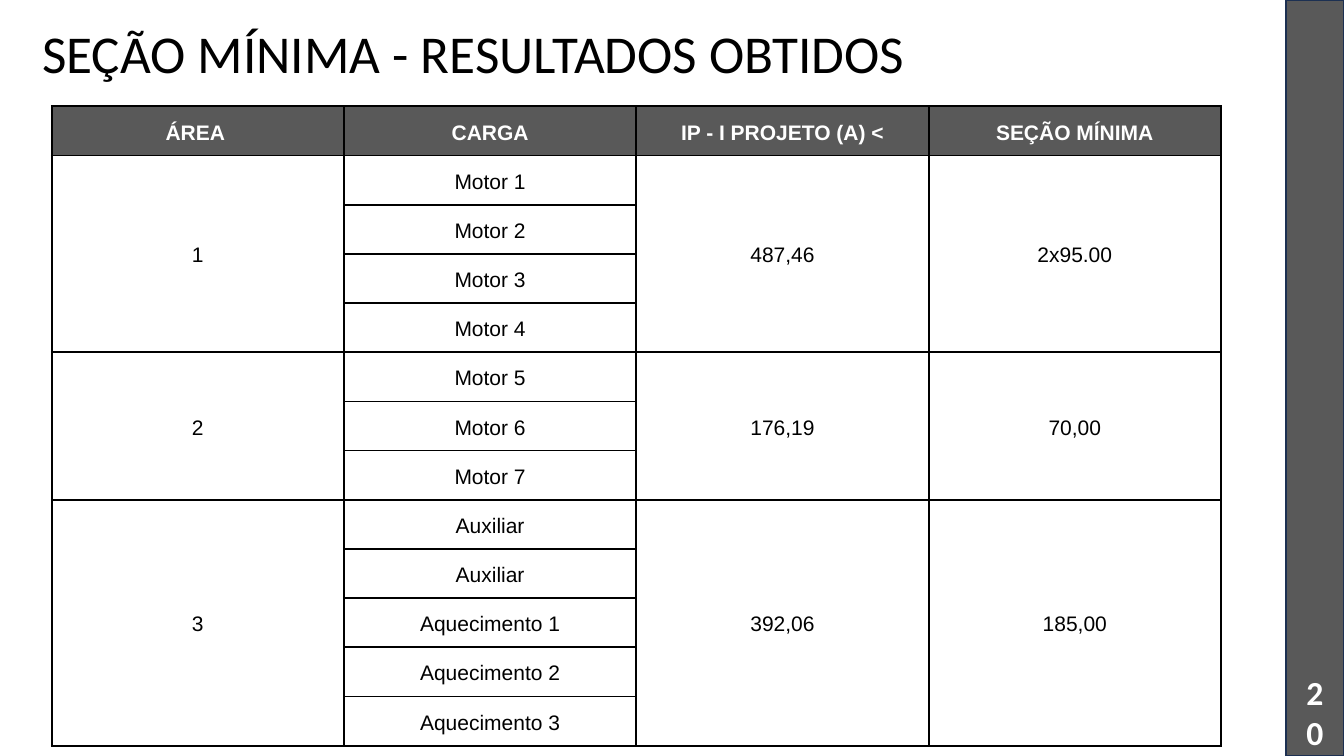
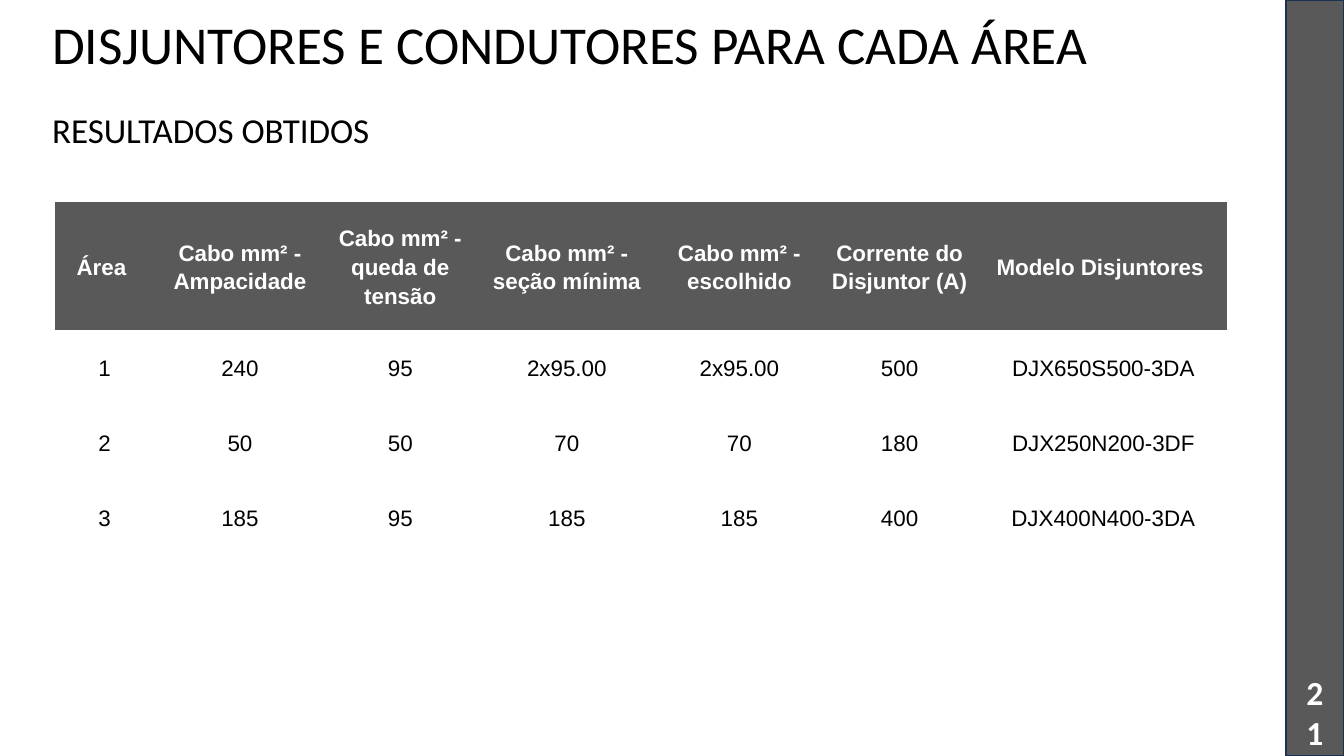
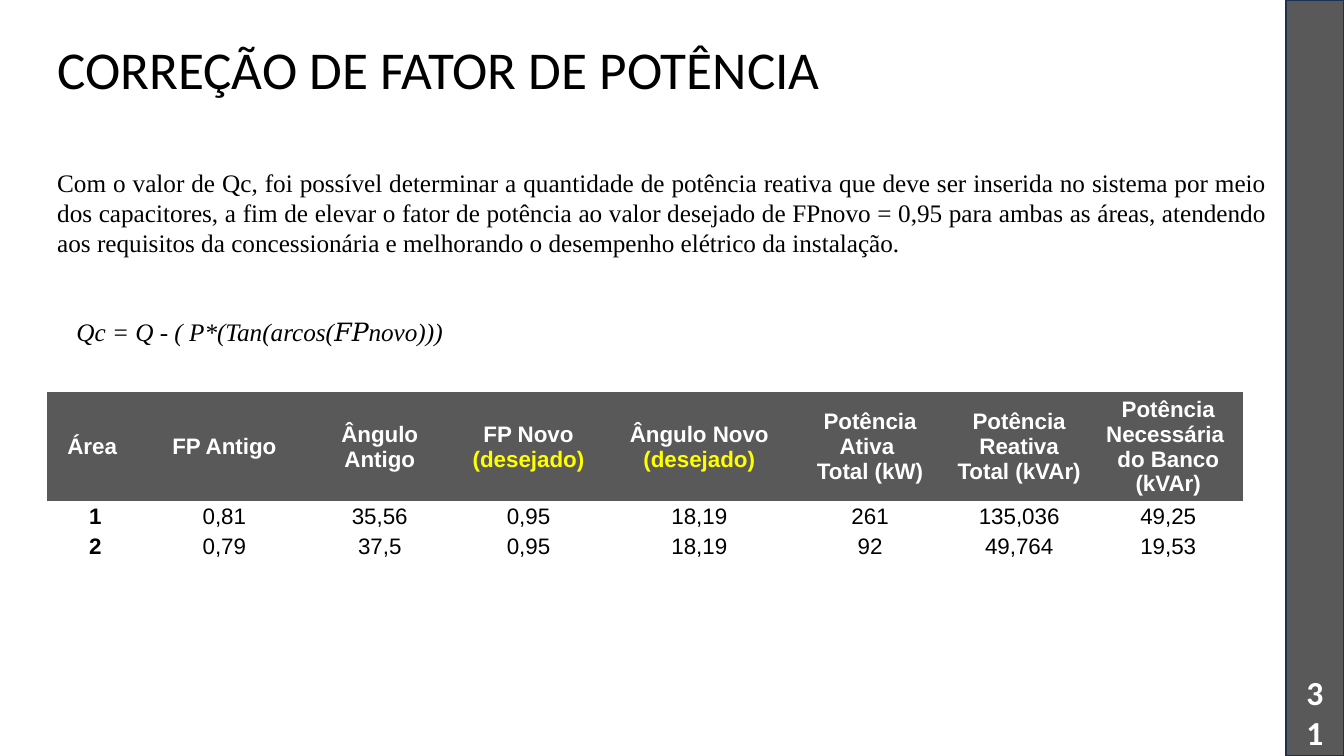
from lxml.etree import SubElement
from pptx import Presentation
from pptx.dml.color import RGBColor
from pptx.enum.shapes import MSO_SHAPE
from pptx.enum.text import MSO_ANCHOR, PP_ALIGN
from pptx.oxml.ns import qn
from pptx.util import Pt

COLORS = {
    "band": "595959",
    "band_line": "1C3052",
    "text": "000000",
    "light": "FFFFFF",
    "accent": "FFFF00",
}
TITLE_FONT, TABLE_FONT, BODY_FONT = "Calibri", "Arial", "Times New Roman"
SLIDE_WIDTH, SLIDE_HEIGHT = 960, 540
BAND_LEFT = 918.72
PLAIN_TABLE_STYLE = "{2D5ABB26-0587-4C30-8999-92F81FD0307C}"

# Minimum section: area, loads, project current, section
SECTION_HEADER = ["ÁREA ", "CARGA", "IP - I PROJETO (A) <", "SEÇÃO MÍNIMA"]
SECTION_AREAS = [
    ("1", ["Motor 1", "Motor 2", "Motor 3", "Motor 4"], "487,46", "2x95.00"),
    ("2", ["Motor 5", "Motor 6", "Motor 7"], "176,19", "70,00"),
    ("3", ["Auxiliar", "Auxiliar", "Aquecimento 1", "Aquecimento 2",
           "Aquecimento 3"], "392,06", "185,00"),
]

BREAKER_ROWS = [
    ["Área ", "Cabo mm² - Ampacidade", "Cabo mm² - queda de tensão",
     "Cabo mm² - seção mínima", "Cabo mm² - escolhido",
     "Corrente do Disjuntor (A)", "Modelo Disjuntores "],
    ["1", "240", "95", "2x95.00", "2x95.00", "500", "DJX650S500-3DA"],
    ["2", "50", "50", "70", "70", "180", "DJX250N200-3DF"],
    ["3", "185", "95", "185", "185", "400", "DJX400N400-3DA"],
]

TARGET_NOTE = "(desejado)"
POWER_ROWS = [
    ["Área ", "FP Antigo", "Ângulo Antigo", "FP Novo " + TARGET_NOTE,
     "Ângulo Novo " + TARGET_NOTE, "Potência Ativa \nTotal (kW)",
     "Potência Reativa\nTotal (kVAr)", "Potência Necessária \ndo Banco (kVAr)"],
    ["1", "0,81", "35,56", "0,95", "18,19", "261", "135,036", "49,25"],
    ["2", "0,79", "37,5", "0,95", "18,19", "92", "49,764", "19,53"],
]
POWER_INTRO = (
    "Com o valor de Qc, foi possível determinar a quantidade de potência "
    "reativa que deve ser inserida no sistema por meio dos capacitores, a fim "
    "de elevar o fator de potência ao valor desejado de FPnovo = 0,95 para "
    "ambas as áreas, atendendo aos requisitos da concessionária e melhorando "
    "o desempenho elétrico da instalação."
)
POWER_FORMULA = "Qc = Q - ( P*(Tan(arcos(𝐹𝑃novo)))"


def rgb(name):
    return RGBColor.from_string(COLORS[name])


def style_runs(paragraph, font, size, color="text", bold=False, italic=False):
    for run in paragraph.runs:
        run.font.name, run.font.size = font, Pt(size)
        run.font.bold, run.font.italic = bold, italic
        run.font.color.rgb = rgb(color)


def add_text(slide, box, text, font, size, align=PP_ALIGN.LEFT,
             anchor=MSO_ANCHOR.TOP, inset=3.6, spacing=1.0, **run_style):
    frame = slide.shapes.add_textbox(*map(Pt, box)).text_frame
    frame.word_wrap = True
    frame.vertical_anchor = anchor
    frame.margin_left = frame.margin_right = Pt(7.2)
    frame.margin_top = frame.margin_bottom = Pt(inset)
    paragraph = frame.paragraphs[0]
    paragraph.text = text
    paragraph.alignment = align
    paragraph.line_spacing = spacing
    style_runs(paragraph, font, size, **run_style)


def add_base_slide(deck, title, title_box, number):
    """Slide with its title, side band and page number."""
    slide = deck.slides.add_slide(deck.slide_layouts[6])
    add_text(slide, title_box, title, TITLE_FONT, 38, spacing=0.9)
    band = slide.shapes.add_shape(
        MSO_SHAPE.RECTANGLE, Pt(BAND_LEFT), Pt(0),
        Pt(SLIDE_WIDTH - BAND_LEFT), Pt(SLIDE_HEIGHT))
    band.shadow.inherit = False
    band.fill.solid()
    band.fill.fore_color.rgb = rgb("band")
    band.line.color.rgb = rgb("band_line")
    band.line.width = Pt(1)
    add_text(slide, (920.9, 487.2, 36.7, 43.2), number, TITLE_FONT, 24,
             PP_ALIGN.CENTER, MSO_ANCHOR.MIDDLE, color="light", bold=True)
    return slide


def add_borders(cell, width):
    properties = cell._tc.get_or_add_tcPr()
    for position, side in enumerate(("a:lnL", "a:lnR", "a:lnT", "a:lnB")):
        line = SubElement(properties, qn(side), w=str(Pt(width)))
        fill = SubElement(line, qn("a:solidFill"))
        SubElement(fill, qn("a:srgbClr"), val=COLORS["text"])
        properties.insert(position, line)


def fill_cell(cell, text, size, margins, spacing, header, bold):
    cell.vertical_anchor = MSO_ANCHOR.MIDDLE
    (cell.margin_left, cell.margin_top,
     cell.margin_right, cell.margin_bottom) = map(Pt, margins)
    if header:
        cell.fill.solid()
        cell.fill.fore_color.rgb = rgb("band")
    else:
        cell.fill.background()
    paragraph = cell.text_frame.paragraphs[0]
    paragraph.alignment = PP_ALIGN.CENTER
    paragraph.line_spacing = spacing
    paragraph.text = text.removesuffix(TARGET_NOTE)
    if text.endswith(TARGET_NOTE):
        paragraph.add_run().text = TARGET_NOTE
    style_runs(paragraph, TABLE_FONT, size, "light" if header else "text", bold)
    if text.endswith(TARGET_NOTE):
        paragraph.runs[-1].font.color.rgb = rgb("accent")


def add_grid(slide, left, top, widths, heights, rows, size, margins,
             spacing=1.0, bold_first=False, border=None):
    frame = slide.shapes.add_table(
        len(rows), len(widths), Pt(left), Pt(top),
        Pt(sum(widths)), Pt(sum(heights)))
    for style in frame.element.iter(qn("a:tableStyleId")):
        style.text = PLAIN_TABLE_STYLE
    grid = frame.table
    grid.horz_banding = False
    for column, width in zip(grid.columns, widths):
        column.width = Pt(width)
    for r, (row, height) in enumerate(zip(rows, heights)):
        grid.rows[r].height = Pt(height)
        for c, text in enumerate(row):
            cell = grid.cell(r, c)
            bold = r == 0 or (bold_first and c == 0)
            fill_cell(cell, text, size, margins, spacing, r == 0, bold)
            if border:
                add_borders(cell, border)
    return grid


def build_section_slide(deck):
    slide = add_base_slide(deck, "SEÇÃO MÍNIMA - RESULTADOS OBTIDOS",
                           (23, 15.8, 802.8, 51), "20")
    rows = [SECTION_HEADER]
    for area, loads, current, section in SECTION_AREAS:
        rows.append([area, loads[0], current, section])
        rows += [["", load, "", ""] for load in loads[1:]]
    grid = add_grid(slide, 36.9, 76, [208.8] * 4, [33.57] * len(rows), rows,
                    15, (2.2, 7.2, 2.2, 7.2), spacing=1.15, border=1.5)
    # One merged cell per area, except in the load column
    first = 1
    for _, loads, _, _ in SECTION_AREAS:
        last = first + len(loads) - 1
        for column in (0, 2, 3):
            grid.cell(first, column).merge(grid.cell(last, column))
        first = last + 1


def build_breaker_slide(deck):
    slide = add_base_slide(deck, "DISJUNTORES E CONDUTORES PARA CADA ÁREA",
                           (30.2, 9.4, 802.8, 77), "21")
    add_text(slide, (30.2, 70.6, 333.4, 52.6), "RESULTADOS OBTIDOS",
             TITLE_FONT, 25, inset=7.2)
    add_grid(slide, 39.4, 144.2, [70.5, 123, 106, 132, 114.5, 114.5, 176.5],
             [91.4] + [53.6] * 3, BREAKER_ROWS, 16, (5, 0, 5, 0), spacing=1.15)


def build_power_slide(deck):
    slide = add_base_slide(deck, "CORREÇÃO DE FATOR DE POTÊNCIA",
                           (33.8, 27.4, 826.6, 77), "31")
    add_text(slide, (33.8, 115.9, 878.4, 72.7), POWER_INTRO, BODY_FONT, 18,
             PP_ALIGN.JUSTIFY)
    add_grid(slide, 33.8, 280, [68.5, 116, 106, 106.5, 137.5] + [106.5] * 3,
             [77.8] + [21.4] * 2, POWER_ROWS, 16, (0.7, 0.7, 0.7, 0),
             bold_first=True)
    add_text(slide, (47.5, 222.5, 300.2, 28.8), POWER_FORMULA, BODY_FONT, 18,
             italic=True)


def main():
    deck = Presentation()
    deck.slide_width, deck.slide_height = Pt(SLIDE_WIDTH), Pt(SLIDE_HEIGHT)
    build_section_slide(deck)
    build_breaker_slide(deck)
    build_power_slide(deck)
    deck.save("out.pptx")


if __name__ == "__main__":
    main()
